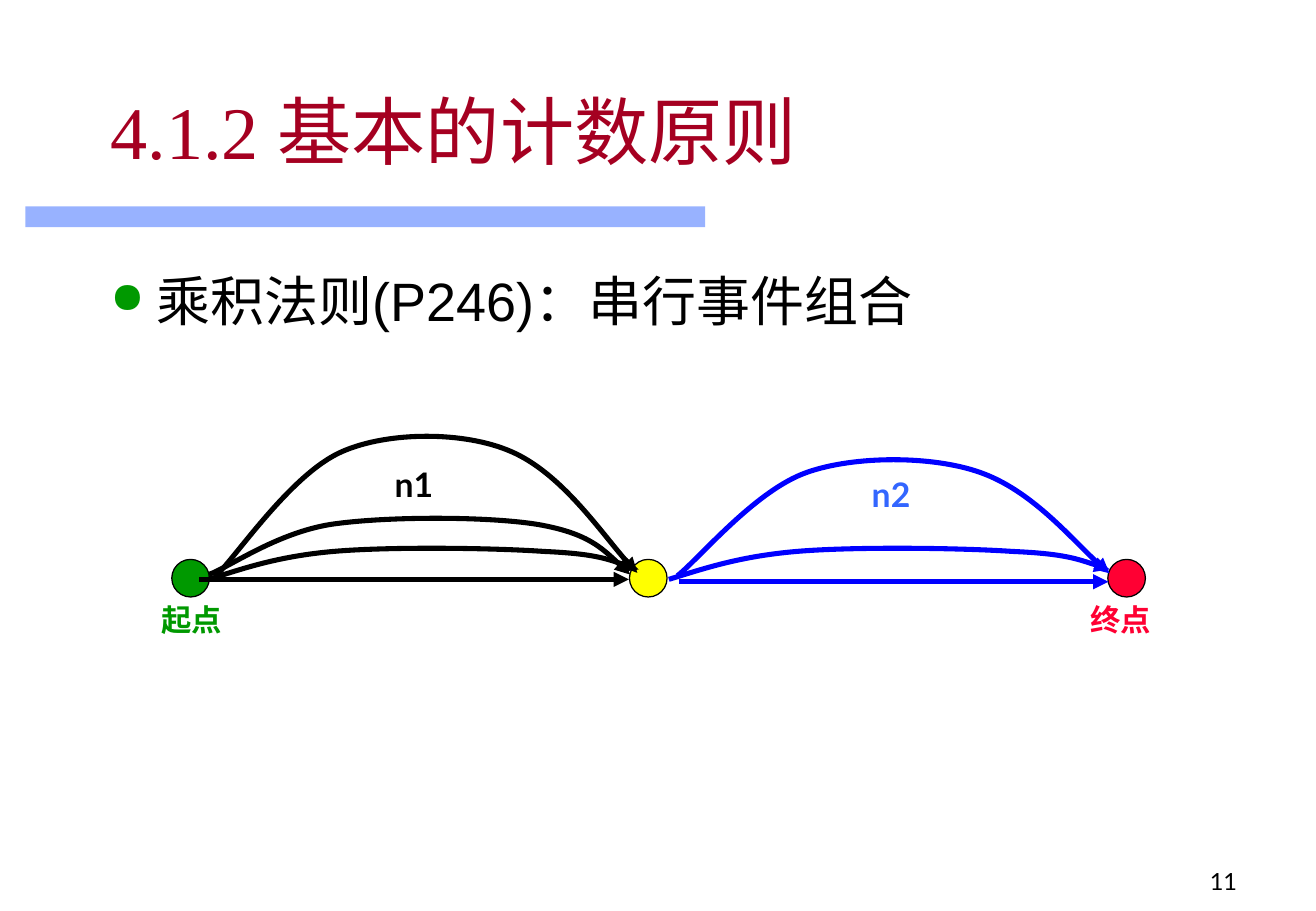
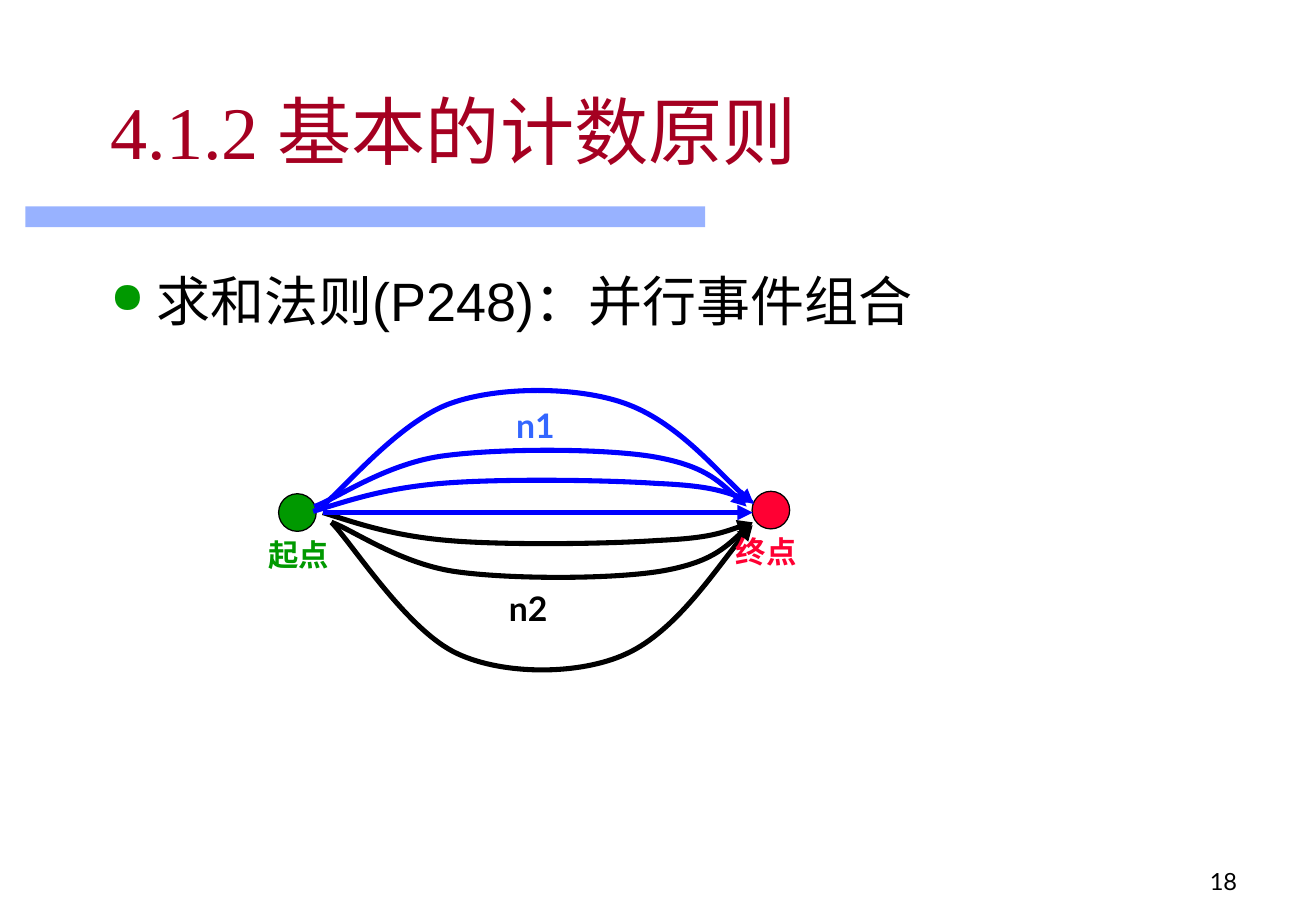
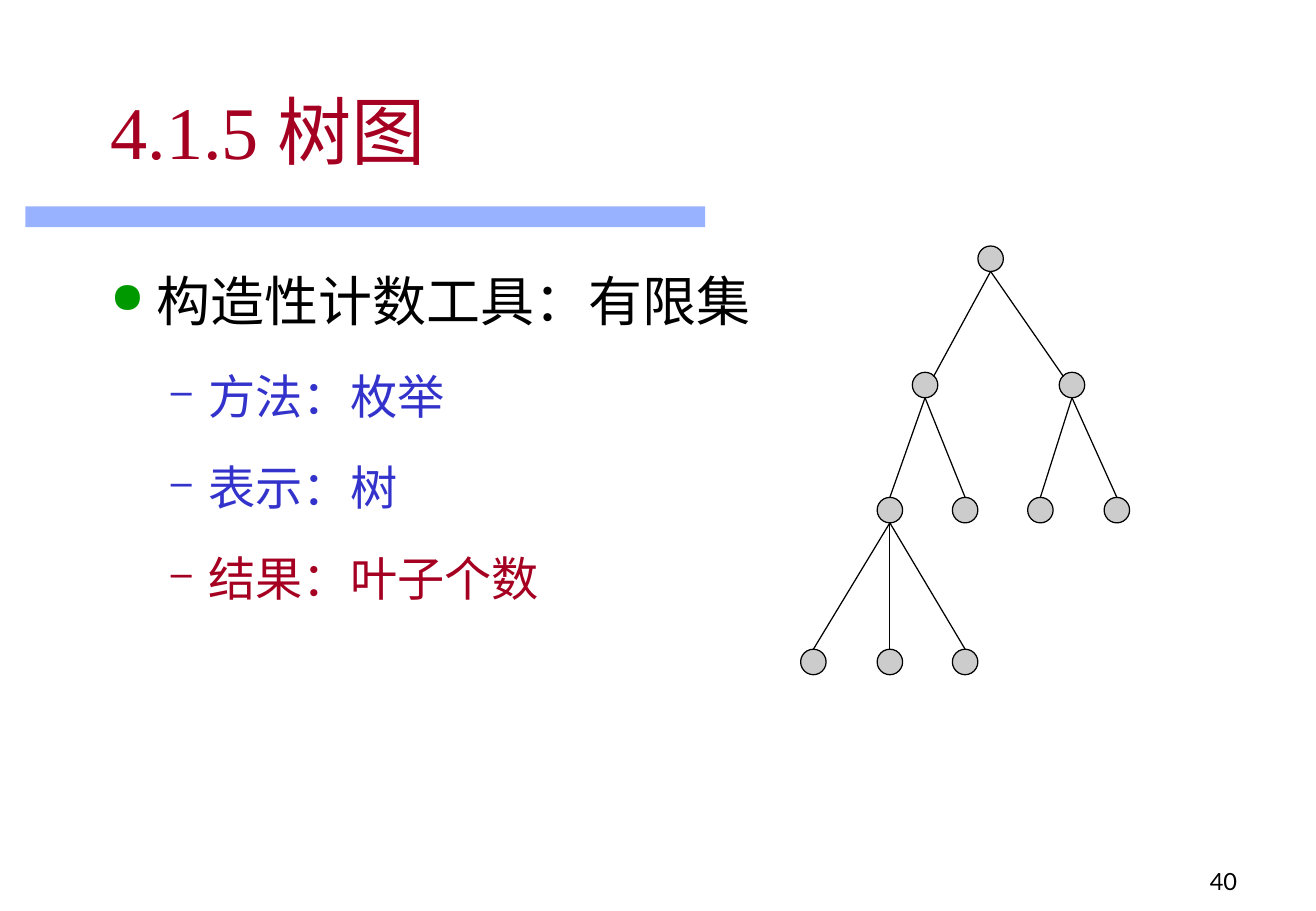
from lxml.etree import SubElement
from pptx import Presentation
from pptx.dml.color import RGBColor
from pptx.enum.shapes import MSO_CONNECTOR, MSO_SHAPE
from pptx.enum.text import MSO_ANCHOR, MSO_AUTO_SIZE, PP_ALIGN
from pptx.oxml.ns import qn
from pptx.util import Inches, Pt

COLORS = {
    "title": "A50021", "band": "3366FF", "ink": "000000", "start": "009900",
    "end": "FF0033", "middle": "FFFF00", "route": "0000FF", "detail": "3333CC",
    "node": "CCCCCC",
}
RGB = {role: RGBColor.from_string(value) for role, value in COLORS.items()}

# Bullet levels: left margin, hanging indent, size, space before, bullet
LEVELS = [(0.38, -0.38, 32, 8, "●"), (0.81, -0.31, 28, 7, "–")]

# Cubic control points after the start, as fractions of an arc's width and height
ARCS = {
    "low": [(0.08, 0.33), (0.16, 0.7), (0.29, 0.85), (0.42, 1), (0.66, 0.96),
            (0.78, 0.85), (0.9, 0.78), (0.95, 0.52), (1, 0.3)],
    "mid": [(0.05, 0.13), (0.16, 0.71), (0.29, 0.86), (0.42, 1), (0.66, 1),
            (0.78, 0.86), (0.9, 0.71), (0.95, 0.35), (1, 0)],
    "high": [(0.05, 0.14), (0.18, 0.71), (0.3, 0.86), (0.41, 1), (0.59, 1),
             (0.7, 0.86), (0.82, 0.71), (0.94, 0.19), (1, 0.02)],
}

# Bullets: level, text, text colour, bullet colour
PAGES = [
    ("11", "4.1.2 基本的计数原则",
     [(0, "乘积法则(P246)：串行事件组合", "ink", "start")]),
    ("18", "4.1.2 基本的计数原则",
     [(0, "求和法则(P248)：并行事件组合", "ink", "start")]),
    ("40", "4.1.5 树图",
     [(0, "构造性计数工具：有限集", "ink", "start"),
      (1, "方法：枚举", "detail", "detail"),
      (1, "表示：树", "detail", "detail"),
      (1, "结果：叶子个数", "title", "title")]),
]

# Stops: centre, colour. Labels: centre, text, size, colour.
# Straight: start, end x, colour. Arcs: kind, start, width, signed height, colour.
ROUTES = [
    {"stops": [(1.57, 4.76, "start"), (9.28, 4.76, "end"), (5.34, 4.76, "middle")],
     "labels": [(1.58, 5.1, "起点", 18, "start"), (9.23, 5.1, "终点", 18, "end"),
                (3.41, 3.99, "n1", 20, "ink"), (7.34, 4.07, "n2", 20, "band")],
     "straight": [(1.64, 4.77, 5.18, "ink"), (5.59, 4.79, 9.13, "route")],
     "arcs": [("low", 1.72, 4.77, 3.54, -0.27, "ink"),
              ("high", 1.78, 4.74, 3.47, -1.19, "ink"),
              ("mid", 1.72, 4.73, 3.47, -0.48, "ink"),
              ("low", 5.51, 4.77, 3.63, -0.27, "route"),
              ("high", 5.58, 4.74, 3.56, -0.99, "route")]},
    {"stops": [(2.45, 4.22, "start"), (6.35, 4.2, "end")],
     "labels": [(2.46, 4.57, "起点", 18, "start"), (6.31, 4.54, "终点", 18, "end"),
                (4.35, 5.01, "n2", 20, "ink"), (4.41, 3.5, "n1", 20, "band")],
     "straight": [(2.66, 4.22, 6.2, "route")],
     "arcs": [("low", 2.66, 4.22, 3.54, 0.27, "ink"),
              ("high", 2.73, 4.3, 3.47, 1.26, "ink"),
              ("mid", 2.73, 4.3, 3.47, 0.47, "ink"),
              ("low", 2.58, 4.21, 3.63, -0.27, "route"),
              ("high", 2.65, 4.17, 3.56, -0.99, "route"),
              ("mid", 2.59, 4.17, 3.56, -0.48, "route")]},
]

# Tree nodes: centre, index of the parent
TREE = [
    (8.16, 2.13, None),
    (7.62, 3.17, 0), (8.83, 3.17, 0),
    (7.33, 4.2, 1), (7.95, 4.2, 1), (8.57, 4.2, 2), (9.2, 4.2, 2),
    (6.7, 5.45, 3), (7.33, 5.45, 3), (7.95, 5.45, 3),
]
NODE_SIZE = 0.21


def add_dot(slide, x, y, size, color):
    """Add an outlined circle centred on x, y."""
    dot = slide.shapes.add_shape(MSO_SHAPE.OVAL, Inches(x - size / 2),
                                 Inches(y - size / 2), Inches(size), Inches(size))
    dot.shadow.inherit = False
    dot.fill.solid()
    dot.fill.fore_color.rgb = RGB[color]
    dot.line.color.rgb = RGB["ink"]
    dot.line.width = Pt(0.75)


def style_stroke(stroke, color, weight, arrow=False):
    stroke.line.color.rgb = RGB[color]
    stroke.line.width = Pt(weight)
    properties = stroke.element.spPr
    if arrow:
        SubElement(properties.find(qn("a:ln")), qn("a:tailEnd"), type="triangle")
    SubElement(properties, qn("a:effectLst"))


deck = Presentation()
deck.slide_width, deck.slide_height = Inches(10.84), Inches(7.5)

for number, heading, bullets in PAGES:
    slide = deck.slides.add_slide(deck.slide_layouts[5])

    band = slide.shapes.add_shape(MSO_SHAPE.RECTANGLE, Inches(0.21), Inches(1.7),
                                  Inches(5.6), Inches(0.17))
    band.shadow.inherit = False
    band.fill.solid()
    band.fill.fore_color.rgb = RGB["band"]
    band.line.fill.background()
    band_color = band.element.spPr.find(qn("a:solidFill"))[0]
    SubElement(band_color, qn("a:alpha"), val="50000")

    title = slide.shapes.title
    title.left, title.top = Inches(0.81), Inches(0.44)
    title.width, title.height = Inches(9.21), Inches(1.25)
    title.text_frame.auto_size = MSO_AUTO_SIZE.NONE
    title.text_frame.vertical_anchor = MSO_ANCHOR.MIDDLE
    title_line = title.text_frame.paragraphs[0]
    title_line.alignment = PP_ALIGN.LEFT
    run = title_line.add_run()
    run.text = heading
    run.font.name, run.font.size = "Times New Roman", Pt(44)
    run.font.color.rgb = RGB["title"]

    body = slide.shapes.add_textbox(Inches(0.81), Inches(1.94),
                                    Inches(9.21), Inches(4.88)).text_frame
    body.word_wrap = True
    for index, (level, text, color, bullet_color) in enumerate(bullets):
        margin, indent, size, space, mark = LEVELS[level]
        item = body.add_paragraph() if index else body.paragraphs[0]
        item.level = level
        settings = item._p.get_or_add_pPr()
        settings.set("marL", str(Inches(margin)))
        settings.set("indent", str(Inches(indent)))
        tint = SubElement(settings, qn("a:buClr"))
        SubElement(tint, qn("a:srgbClr"), val=COLORS[bullet_color])
        SubElement(settings, qn("a:buSzPct"), val="80000")
        SubElement(settings, qn("a:buChar"), char=mark)
        item.line_spacing = 1.4
        item.space_before = Pt(space if index else 0)
        run = item.add_run()
        run.text = text
        run.font.name, run.font.size = "Arial", Pt(size)
        run.font.color.rgb = RGB[color]

    footer = slide.shapes.add_textbox(Inches(8.03), Inches(6.92),
                                      Inches(2.26), Inches(0.5)).text_frame
    footer.word_wrap = True
    footer.vertical_anchor = MSO_ANCHOR.BOTTOM
    footer.paragraphs[0].alignment = PP_ALIGN.RIGHT
    run = footer.paragraphs[0].add_run()
    run.text = number
    run.font.name, run.font.size = "Lato", Pt(14)
    run.font.color.rgb = RGB["ink"]

product_slide, sum_slide, tree_slide = deck.slides

for slide, routes in zip((product_slide, sum_slide), ROUTES):
    for x, y, color in routes["stops"]:
        add_dot(slide, x, y, 0.31, color)

    for kind, x, y, width, height, color in routes["arcs"]:
        builder = slide.shapes.build_freeform(Inches(x), Inches(y))
        builder.add_line_segments([(Inches(x + width * across), Inches(y + height * up))
                                   for across, up in ARCS[kind]], close=False)
        arc = builder.convert_to_shape()
        # Every three straight segments become one cubic curve
        segments = list(arc.element.iter(qn("a:lnTo")))
        outline = segments[0].getparent()
        for first in range(0, len(segments), 3):
            curve = SubElement(outline, qn("a:cubicBezTo"))
            for segment in segments[first:first + 3]:
                curve.append(segment[0])
                outline.remove(segment)
        arc.fill.background()
        style_stroke(arc, color, 3, arrow=True)

    for x, y, end_x, color in routes["straight"]:
        straight = slide.shapes.add_connector(MSO_CONNECTOR.STRAIGHT, Inches(x), Inches(y),
                                              Inches(end_x), Inches(y))
        style_stroke(straight, color, 3, arrow=True)

    for x, y, text, size, color in routes["labels"]:
        label = slide.shapes.add_textbox(Inches(x - 0.51), Inches(y - 0.16),
                                         Inches(1.02), Inches(0.31)).text_frame
        label.word_wrap = True
        label.vertical_anchor = MSO_ANCHOR.MIDDLE
        label.paragraphs[0].alignment = PP_ALIGN.CENTER
        run = label.paragraphs[0].add_run()
        run.text = text
        run.font.name, run.font.size, run.font.bold = "Lato", Pt(size), True
        run.font.color.rgb = RGB[color]

for x, y, parent in TREE:
    add_dot(tree_slide, x, y, NODE_SIZE, "node")
    if parent is None:
        continue
    parent_x, parent_y, grandparent = TREE[parent]
    end_x, end_y = x, y - NODE_SIZE / 2
    if grandparent is None:  # branches of the root meet the child's upper corner
        end_x, end_y = x + (0.07 if parent_x > x else -0.07), y - 0.07
    branch = tree_slide.shapes.add_connector(
        MSO_CONNECTOR.STRAIGHT, Inches(parent_x), Inches(parent_y + NODE_SIZE / 2),
        Inches(end_x), Inches(end_y))
    style_stroke(branch, "ink", 0.75)

deck.save("out.pptx")
